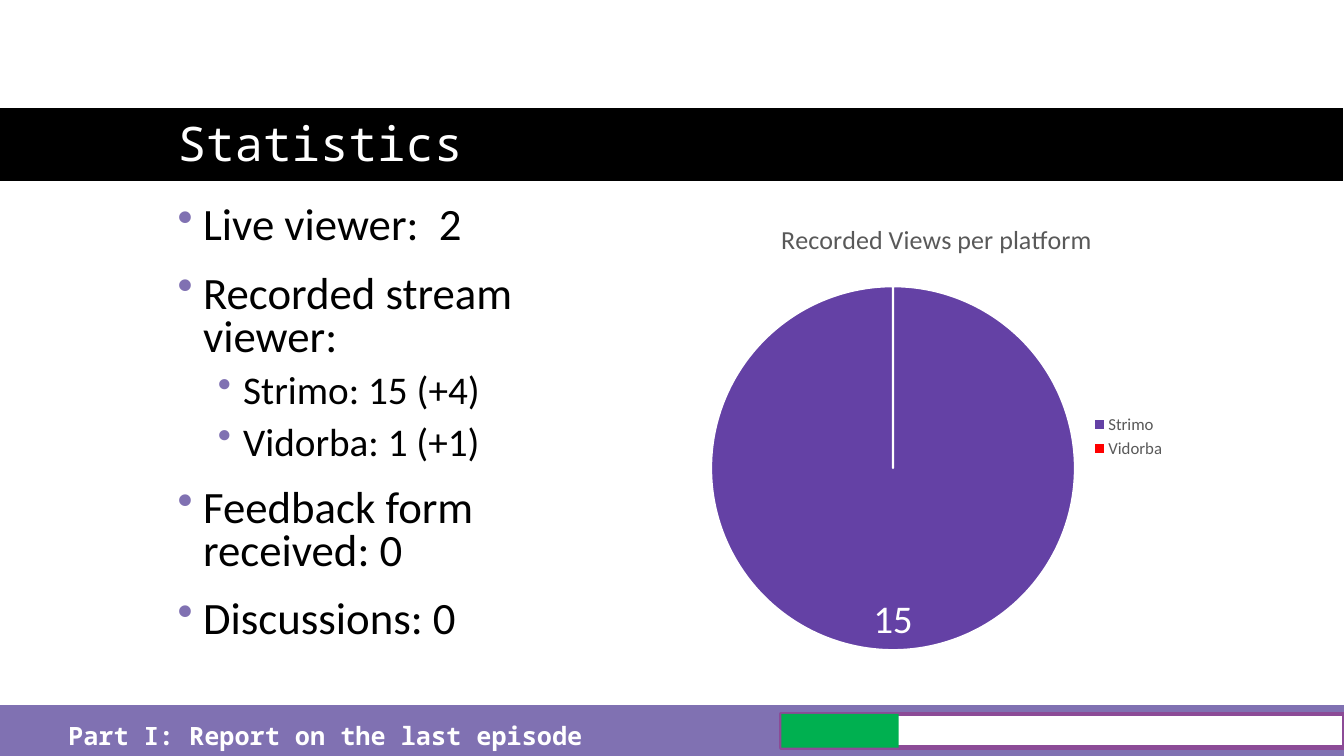
import lxml.etree
import pptx
import pptx.chart.data
import pptx.dml.color
import pptx.enum.chart
import pptx.enum.shapes
import pptx.enum.text
import pptx.oxml.ns
import pptx.util

Cm = pptx.util.Cm
Pt = pptx.util.Pt
qn = pptx.oxml.ns.qn


def color(code):
    """Turn a hex string into a colour."""
    return pptx.dml.color.RGBColor.from_string(code)


def style_font(font, name="Calibri", size=18, ink="000000", bold=False):
    """Set the look of any font object."""
    font.name = name
    font.size = Pt(size)
    font.bold = bold
    font.color.rgb = color(ink)


def write(para, text, **style):
    """Add formatted text to a paragraph."""
    span = para.add_run()
    span.text = text
    style_font(span.font, **style)


class StatisticsPage:
    """Hold the style and the current slide."""

    ACCENT = "8071B2"
    WHITE = "FFFFFF"
    GREY = "595959"
    MONO = "Noto Sans Mono"
    LEVELS = ((32, 18, 0.64), (28, 10, 1.65))
    HANGING = 0.64

    def __init__(self, deck):
        """Add a blank slide to the deck."""
        self.page = deck.slides.add_slide(deck.slide_layouts[6])

    def bar(self, left, top, width, height, fill, line=None, weight=1):
        """Draw a flat rectangle."""
        shape = self.page.shapes.add_shape(
            pptx.enum.shapes.MSO_SHAPE.RECTANGLE,
            Cm(left), Cm(top), Cm(width), Cm(height))
        shape.shadow.inherit = False
        shape.fill.solid()
        shape.fill.fore_color.rgb = color(fill)
        if line:
            shape.line.color.rgb = color(line)
            shape.line.width = Pt(weight)
        else:
            shape.line.fill.background()

    def text_box(self, left, top, width, height, anchor="TOP"):
        """Add a wrapping text box and return its frame."""
        box = self.page.shapes.add_textbox(Cm(left), Cm(top), Cm(width), Cm(height))
        frame = box.text_frame
        frame.word_wrap = True
        frame.vertical_anchor = pptx.enum.text.MSO_ANCHOR[anchor]
        return frame

    def heading(self, text, place, size, bold=False, anchor="TOP", spacing=1.0):
        """Write one white monospaced line."""
        para = self.text_box(*place, anchor=anchor).paragraphs[0]
        para.line_spacing = spacing
        write(para, text, name=self.MONO, size=size, ink=self.WHITE, bold=bold)

    def bullets(self, items, place):
        """Write a bulleted list of (level, text) items."""
        frame = self.text_box(*place)
        for index, (level, text) in enumerate(items):
            size, before, margin = self.LEVELS[level]
            para = frame.add_paragraph() if index else frame.paragraphs[0]
            para.level = level
            para.line_spacing = 0.8
            para.space_before = Pt(before)
            props = para._p.get_or_add_pPr()
            props.set("marL", str(Cm(margin)))
            props.set("indent", str(-Cm(self.HANGING)))
            tint = lxml.etree.SubElement(props, qn("a:buClr"))
            lxml.etree.SubElement(tint, qn("a:srgbClr"), val=self.ACCENT)
            lxml.etree.SubElement(props, qn("a:buChar"), char="•")
            write(para, text, size=size)

    def pie(self, title, views, place):
        """Add a pie chart of (category, value, colour) rows."""
        data = pptx.chart.data.CategoryChartData()
        data.categories = [name for name, count, fill in views]
        data.add_series(title, [count for name, count, fill in views])
        chart = self.page.shapes.add_chart(
            pptx.enum.chart.XL_CHART_TYPE.PIE, *map(Cm, place), data).chart
        style_font(chart.font, size=10)
        chart.has_title = True
        write(chart.chart_title.text_frame.paragraphs[0], title,
              size=18.6, ink=self.GREY)
        chart.has_legend = True
        chart.legend.position = pptx.enum.chart.XL_LEGEND_POSITION.RIGHT
        chart.legend.include_in_layout = False
        style_font(chart.legend.font, size=12, ink=self.GREY)
        plot = chart.plots[0]
        plot.vary_by_categories = True
        for index, (name, count, fill) in enumerate(views):
            slice_format = plot.series[0].points[index].format
            slice_format.fill.solid()
            slice_format.fill.fore_color.rgb = color(fill)
            slice_format.line.color.rgb = color(self.WHITE)
            slice_format.line.width = Pt(1.5)
        labels = plot.series[0].data_labels
        labels.show_value = True
        labels.number_format = "0;;;"
        labels.number_format_is_linked = False
        labels.position = pptx.enum.chart.XL_LABEL_POSITION.INSIDE_END
        style_font(labels.font, size=28, ink=self.WHITE)


def main():
    """Build the statistics slide."""
    deck = pptx.Presentation()
    deck.slide_width = Cm(33.87)
    deck.slide_height = Cm(19.05)
    page = StatisticsPage(deck)
    page.bar(-0.85, 2.7, 34.72, 1.9, "000000", page.WHITE, 1.5)
    page.bar(0, 17.78, 33.87, 1.27, page.ACCENT, page.ACCENT)
    page.heading("Statistics", (4.23, 1.27, 25.4, 3.18), 34,
                 anchor="BOTTOM", spacing=0.9)
    page.bullets([
        (0, "Live viewer:  2"),
        (0, "Recorded stream viewer:"),
        (1, "Strimo: 15 (+4)"),
        (1, "Vidorba: 1 (+1)"),
        (0, "Feedback form received: 0"),
        (0, "Discussions: 0"),
    ], (4.23, 5.08, 12.07, 11.85))
    page.pie("Recorded Views per platform",
             [("Strimo", 15, "6441A5"), ("Vidorba", 0, "FF0000")],
             (17.57, 5.08, 12.07, 11.85))
    page.bar(19.69, 17.99, 14.18, 0.85, page.WHITE, "8C4B97", 3)
    page.bar(19.69, 17.99, 2.96, 0.85, "00B050")
    page.heading("Part I: Report on the last episode",
                 (1.47, 18.03, 13.77, 1.02), 18, bold=True)
    deck.save("out.pptx")


if __name__ == "__main__":
    main()
